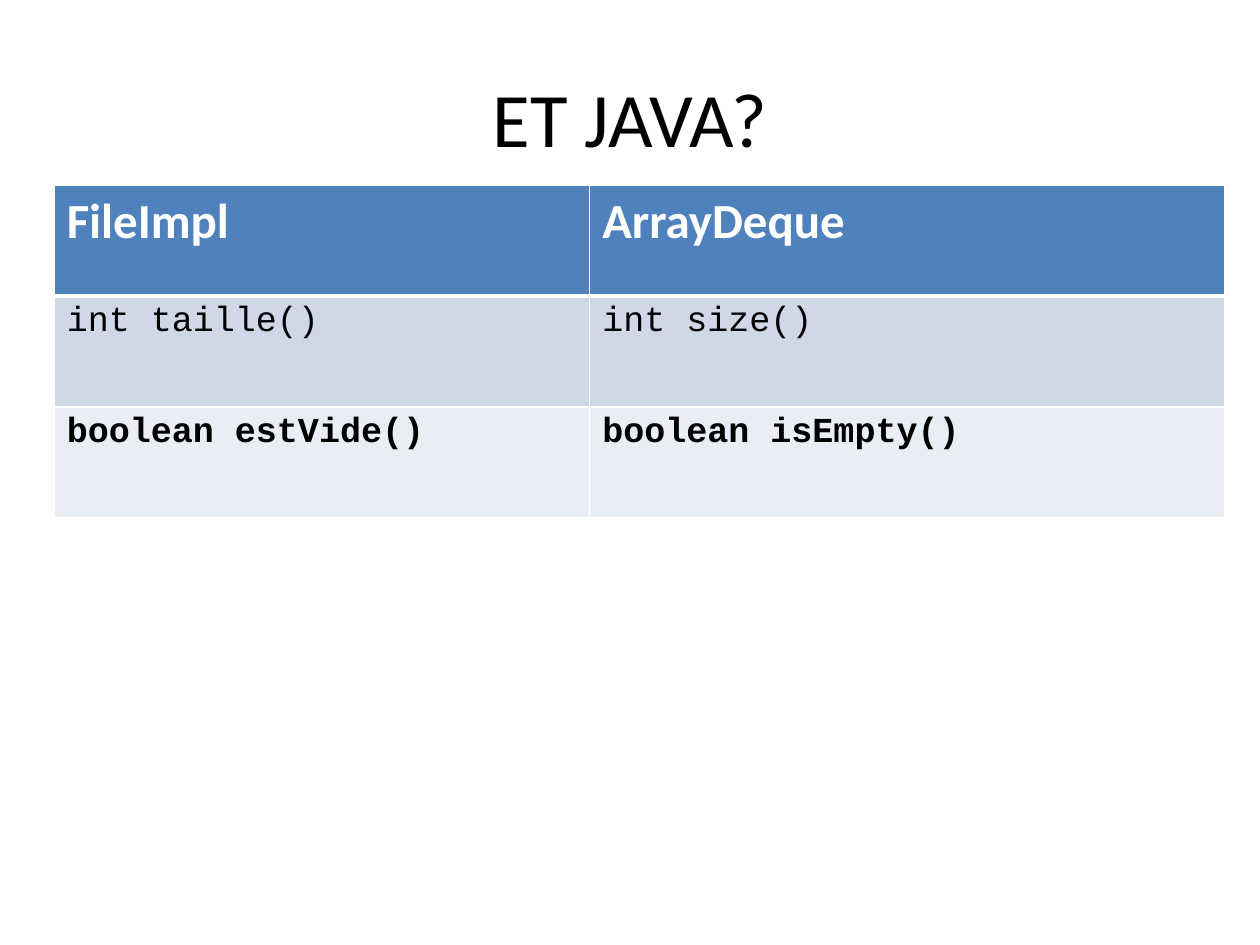
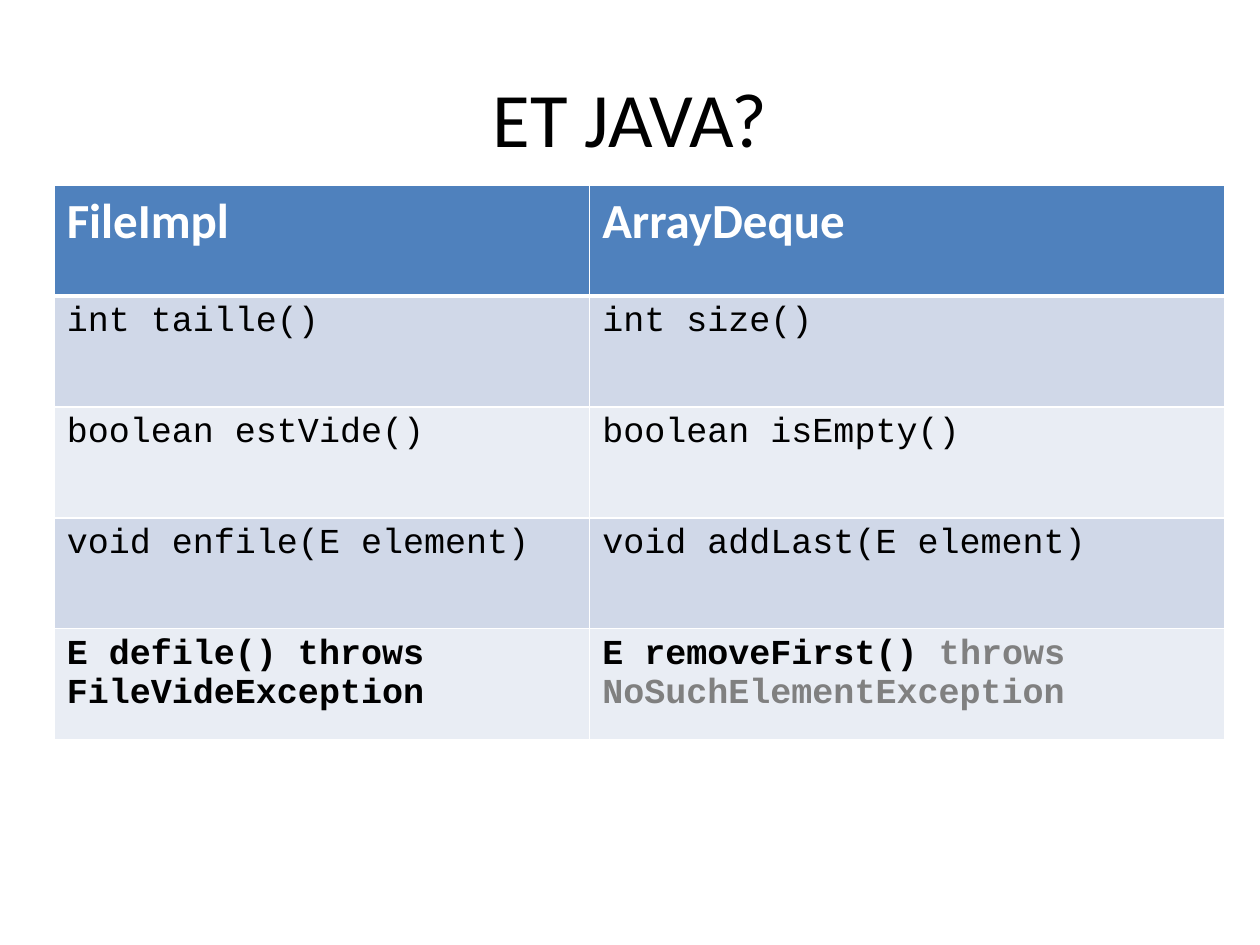
from lxml.etree import SubElement
from pptx import Presentation
from pptx.dml.color import RGBColor
from pptx.enum.text import MSO_ANCHOR as Anchor, PP_ALIGN as Align
from pptx.oxml import parse_xml
from pptx.oxml.ns import nsdecls, qn
from pptx.util import Inches, Pt

BLACK, WHITE, GREY = "000000", "FFFFFF", "808080"
HEADER_FILL, BANDS = "4F81BD", ("D0D8E8", "E9EDF4")
BODY_FONT, CODE_FONT = "Calibri", "Courier New"

TITLE = "ET JAVA?"
HEADER = ("FileImpl", "ArrayDeque")
SIZE = ("int taille()", "int size()")
EMPTY = ("boolean estVide()", "boolean isEmpty()")
ADD = ("void enfile(E element)", "void addLast(E element)")
# A cell is a string, or a list of paragraphs made of (text, colour) runs
REMOVE = (
    "E defile() throws FileVideException",
    [[("E removeFirst() ", BLACK), ("throws", GREY)],
     [("NoSuchElementException", GREY)]],
)


def rgb(value):
    return RGBColor.from_string(value)


def add_text(p, text, size=20, font=CODE_FONT, color=BLACK, bold=False):
    r = p.add_run()
    r.text = text
    r.font.size = Pt(size)
    r.font.name = font
    r.font.color.rgb = rgb(color)
    r.font.bold = bold


def set_borders(cell, **widths):
    """Draw white cell borders; L, R, T and B give widths in points."""
    tc_pr = cell._tc.get_or_add_tcPr()
    for i, side in enumerate("LRTB"):
        ln = parse_xml(f'<a:ln{side} {nsdecls("a")}/>')
        ln.set("w", str(Pt(widths.get(side, 1))))
        fill = SubElement(ln, qn("a:solidFill"))
        SubElement(fill, qn("a:srgbClr")).set("val", WHITE)
        tc_pr.insert(i, ln)


class Deck:
    def __init__(self):
        self.prs = Presentation()
        self.prs.slide_width, self.prs.slide_height = Inches(10), Inches(7.5)
        self.s = None

    def slide(self, title):
        self.s = self.prs.slides.add_slide(self.prs.slide_layouts[6])
        self.title(title)

    def title(self, text):
        sp = self.s.shapes.add_textbox(
            Inches(0.5), Inches(0.3), Inches(9), Inches(1.25))
        tf = sp.text_frame
        tf.word_wrap = True
        tf.vertical_anchor = Anchor.MIDDLE
        p = tf.paragraphs[0]
        p.alignment = Align.CENTER
        add_text(p, text, size=44, font=BODY_FONT)

    def table(self, methods, widths=(4.25, 5.04), row_height=0.88):
        """Compare methods under the header; the newest row is bold."""
        rows = [HEADER, *methods]
        table = self.s.shapes.add_table(
            len(rows), len(widths), Inches(0.43), Inches(1.47),
            Inches(sum(widths)), Inches(row_height * len(rows))).table
        for column, width in zip(table.columns, widths):
            column.width = Inches(width)
        for i, row in enumerate(rows):
            table.rows[i].height = Inches(row_height)
            for j, content in enumerate(row):
                self.cell(table.cell(i, j), content, i, i == len(methods))

    def cell(self, cell, content, row, bold):
        cell.fill.solid()
        if row == 0:
            cell.fill.fore_color.rgb = rgb(HEADER_FILL)
            set_borders(cell, B=3)
            add_text(cell.text_frame.paragraphs[0], content, size=28,
                     font=BODY_FONT, color=WHITE, bold=True)
            return
        cell.fill.fore_color.rgb = rgb(BANDS[(row - 1) % 2])
        set_borders(cell, T=3 if row == 1 else 1)
        paragraphs = [[(content, BLACK)]] if isinstance(content, str) else content
        tf = cell.text_frame
        for i, runs in enumerate(paragraphs):
            p = tf.add_paragraph() if i else tf.paragraphs[0]
            for text, color in runs:
                add_text(p, text, color=color, bold=bold)


def main():
    deck = Deck()

    # Size and emptiness
    deck.slide(TITLE)
    deck.table([SIZE, EMPTY])

    # Adding and removing elements
    deck.slide(TITLE)
    deck.table([SIZE, EMPTY, ADD, REMOVE])

    deck.prs.save("out.pptx")


if __name__ == "__main__":
    main()
